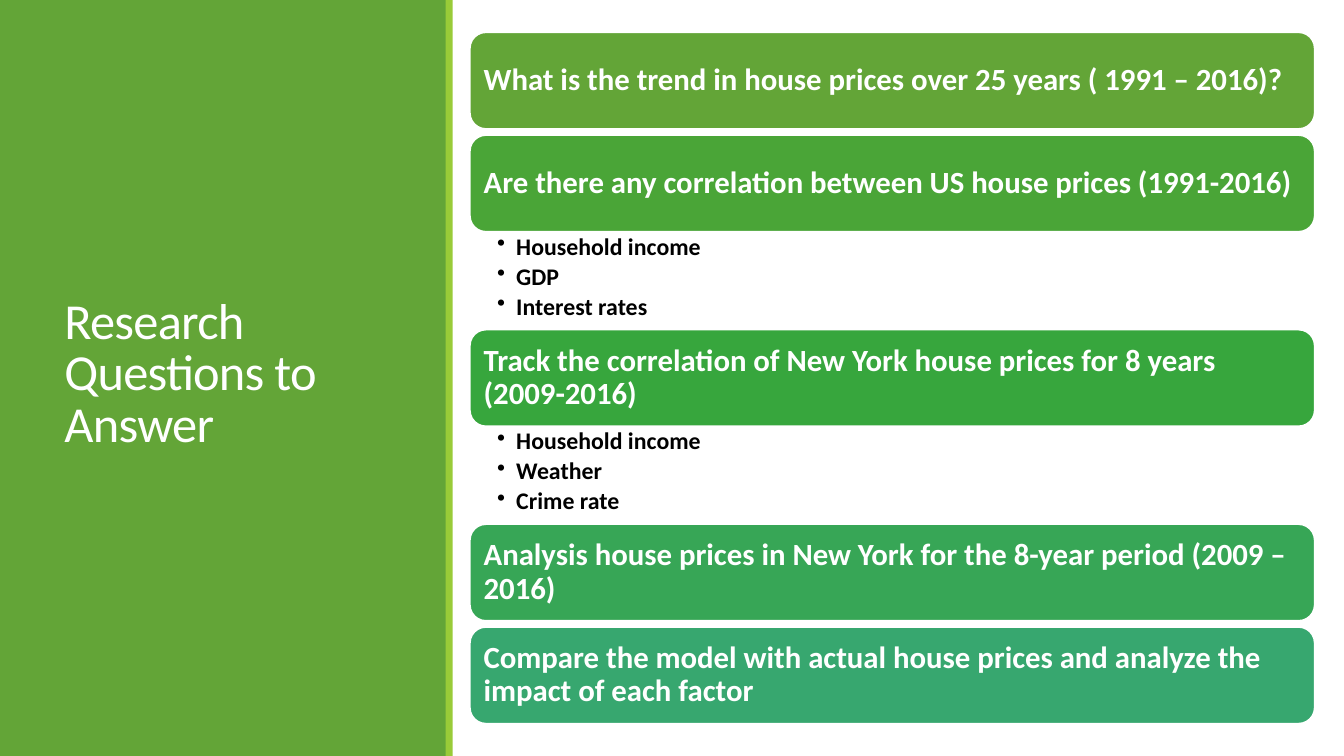
from lxml.etree import SubElement
from pptx import Presentation
from pptx.dml.color import RGBColor
from pptx.enum.shapes import MSO_SHAPE as Shape
from pptx.enum.text import MSO_ANCHOR as Anchor, PP_ALIGN as Align
from pptx.oxml.ns import qn
from pptx.util import Pt

PX = 9144  # EMU per px, 100 px to the inch
FONT = "Calibri"
WHITE = RGBColor(0xFF, 0xFF, 0xFF)
BLACK = RGBColor(0x00, 0x00, 0x00)
GREEN = RGBColor(0x63, 0xA5, 0x37)
LIME = RGBColor(0x99, 0xCB, 0x38)

# Question, fill, factors listed below it
QUESTIONS = [
    ("What is the trend in house prices over 25 years ( 1991 – 2016)?",
     GREEN, []),
    ("Are there any correlation between US house prices (1991-2016)",
     RGBColor(0x4A, 0xA5, 0x37), ["Household income", "GDP", "Interest rates"]),
    ("Track the correlation of New York house prices for 8 years (2009-2016)",
     RGBColor(0x37, 0xA6, 0x3D), ["Household income", "Weather", "Crime rate"]),
    ("Analysis house prices in New York for the 8-year period (2009 –2016)",
     RGBColor(0x37, 0xA6, 0x56), []),
    ("Compare the model with actual house prices and analyze the impact of each factor",
     RGBColor(0x37, 0xA7, 0x6F), []),
]


def emu(*lengths):
    return [length * PX for length in lengths]


def add_block(page, kind, box, fill):
    block = page.shapes.add_shape(kind, *emu(*box))
    block.shadow.inherit = False
    block.fill.solid()
    block.fill.fore_color.rgb = fill
    block.line.fill.background()
    return block


def set_text(shape, lines, size, color, spacing, insets, bold=False, anchor=Anchor.MIDDLE):
    frame = shape.text_frame
    frame.word_wrap = True
    frame.vertical_anchor = anchor
    (frame.margin_left, frame.margin_top,
     frame.margin_right, frame.margin_bottom) = emu(*insets)
    frame.text = "\n".join(lines)
    for para in frame.paragraphs:
        para.alignment = Align.LEFT
        para.line_spacing = spacing
        font = para.runs[0].font
        font.name, font.size, font.bold = FONT, Pt(size), bold
        font.color.rgb = color
    return frame.paragraphs


def add_title_panel(page, left, top, width, height):
    add_block(page, Shape.RECTANGLE, (left, top, width, height), GREEN)
    add_block(page, Shape.RECTANGLE, (left + width - 1, top, 7, height), LIME)
    title = page.shapes.add_textbox(*emu(left + 54, top + 57, 337, 631))
    paras = set_text(title, ["Research Questions to Answer"], 36, WHITE, 0.85,
                     (10, 5, 10, 5))
    paras[0].runs[0].font._element.set("spc", "-50")


def add_factors(page, box, factors):
    listing = page.shapes.add_textbox(*emu(*box))
    paras = set_text(listing, factors, 17, BLACK, 0.9, (27, 3, 17, 3),
                     bold=True, anchor=Anchor.TOP)
    for para in paras:
        para.level = 1
        para.space_after = Pt(3)
        # Hanging bullet
        props = para._p.get_or_add_pPr()
        props.set("marL", str(19 * PX))
        props.set("indent", str(-19 * PX))
        SubElement(props, qn("a:buChar")).set("char", "•")


def add_questions(page, left, top, width):
    bar_height, gap, list_height = 96, 6, 97
    for question, fill, factors in QUESTIONS:
        bar = add_block(page, Shape.ROUNDED_RECTANGLE, (left, top, width, bar_height), fill)
        bar.line.color.rgb = WHITE
        bar.line.width = Pt(1.25)
        set_text(bar, [question], 22, WHITE, 0.9, (9, 9, 9, 9), bold=True)
        top += bar_height
        if factors:
            add_factors(page, (left, top, width, list_height), factors)
        top += list_height if factors else gap


def main():
    deck = Presentation()
    deck.slide_width, deck.slide_height = emu(1333, 750)
    page = deck.slides.add_slide(deck.slide_layouts[6])
    add_title_panel(page, 0, 0, 443, 750)
    add_questions(page, 466, 32, 838)
    deck.save("out.pptx")


if __name__ == "__main__":
    main()
